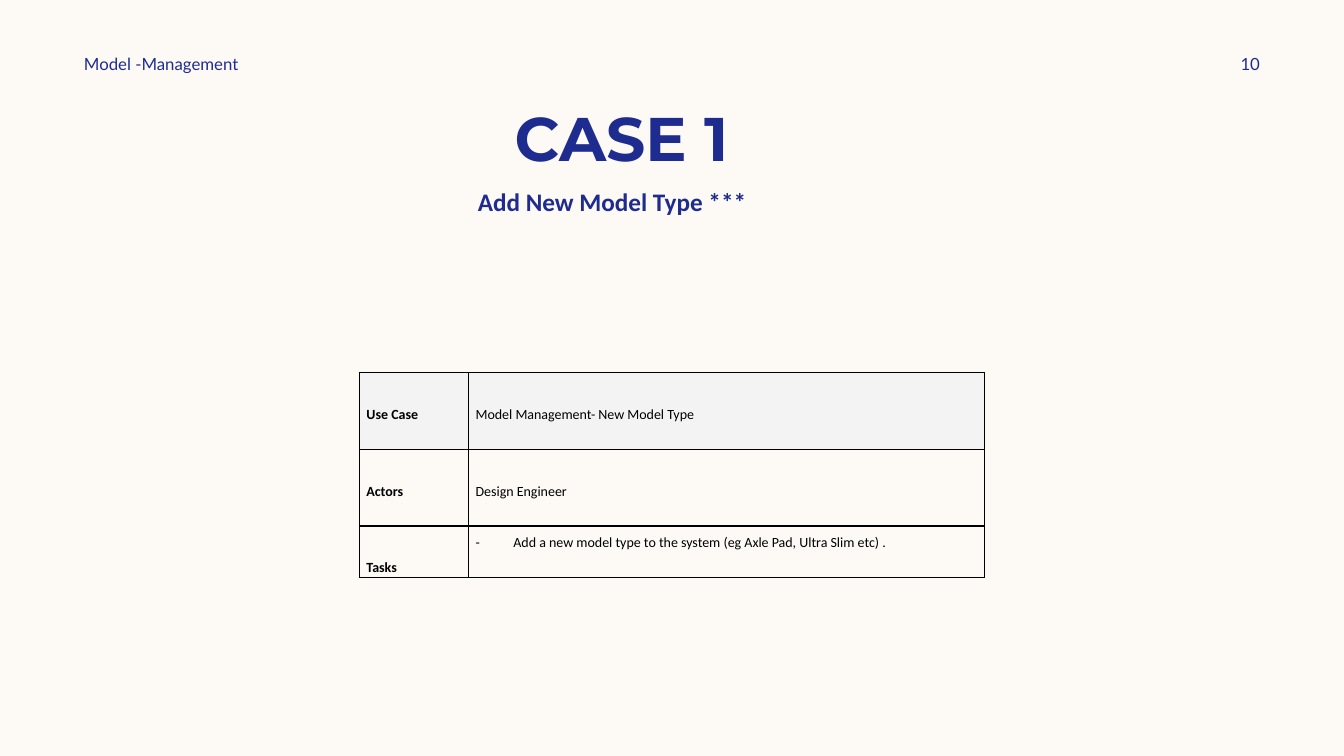
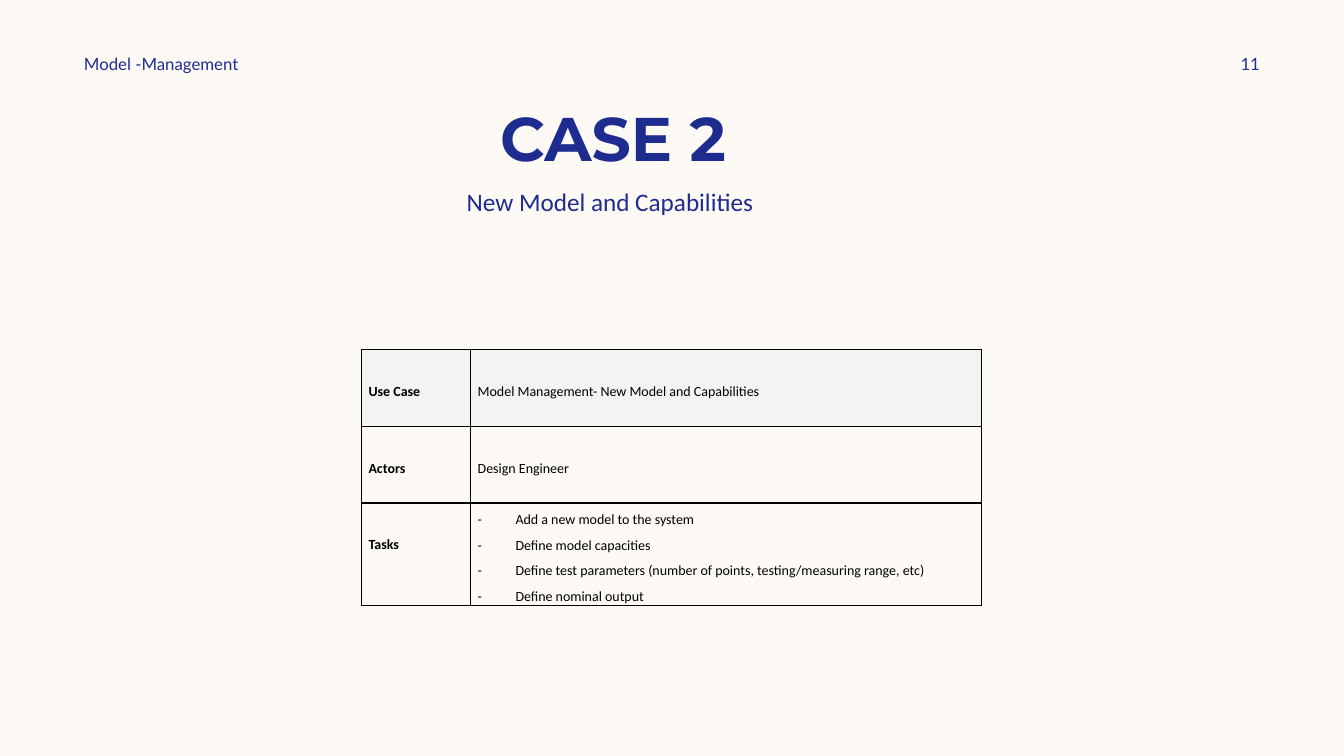
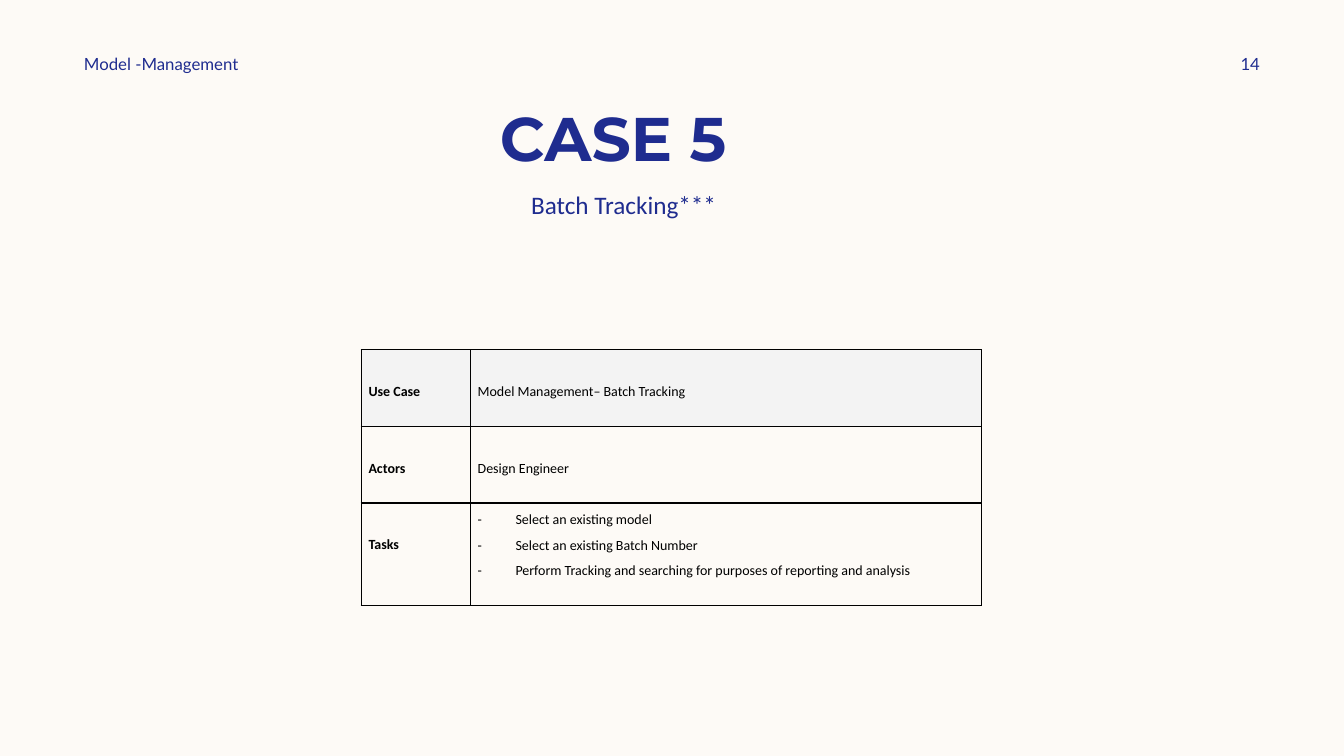
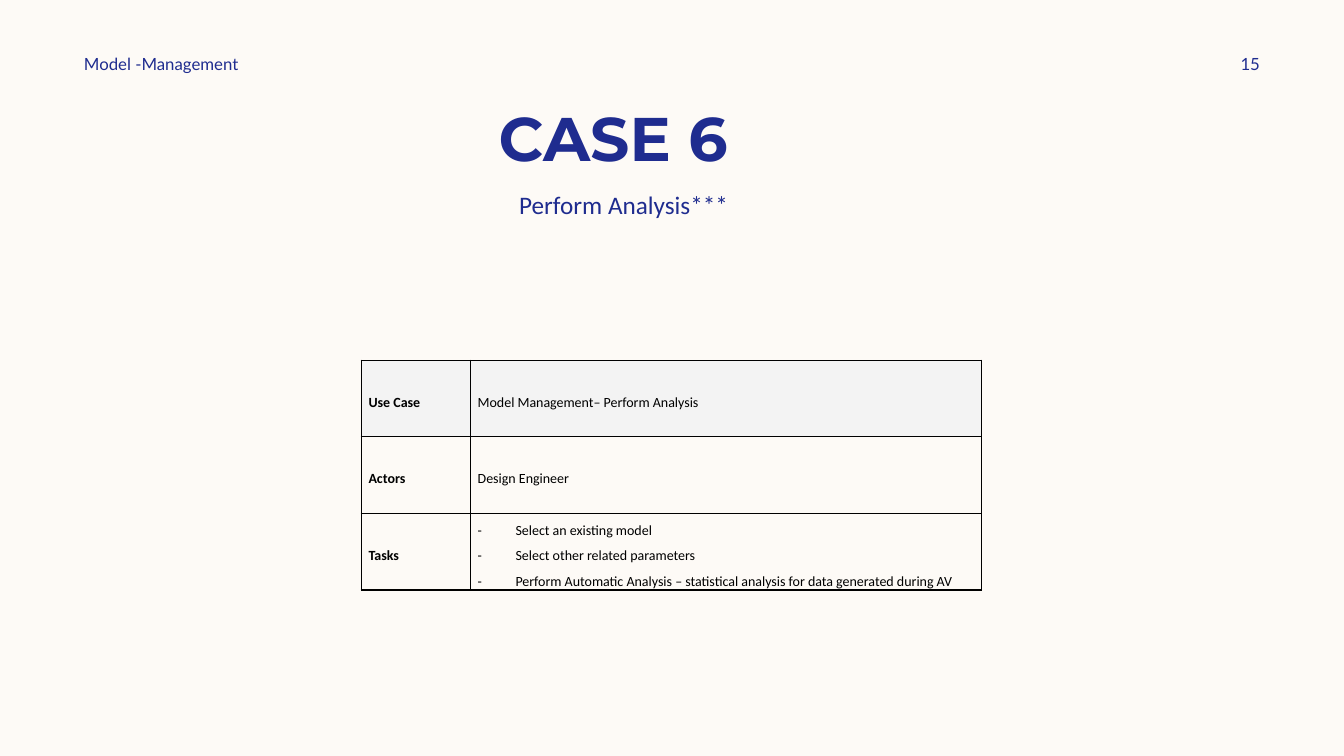
from pptx import Presentation, util as u
from pptx.dml.color import RGBColor
from pptx.enum import text
from pptx.oxml import xmlchemy

CREAM = RGBColor(0xFD, 0xFA, 0xF6)
NAVY = RGBColor(0x1F, 0x2C, 0x8F)
GREY = RGBColor(0xF3, 0xF3, 0xF3)
BLACK = RGBColor(0, 0, 0)

LINE = 24.4
INDENT = 36
PAGE_OFFSET = 9

TITLE = {"name": "Montserrat", "size": u.Pt(44), "bold": True}
HEADER = {"name": "Lato", "size": u.Pt(12), "bold": False}
SUBTITLE = {"name": "Calibri", "size": u.Pt(18), "bold": False}
LABEL = {"name": "Calibri", "size": u.Pt(10), "bold": True}
VALUE = LABEL | {"bold": False}

CASES = [
    {"number": 1, "title_left": 80, "subtitle": "Add New Model Type ***",
     "subtitle_at": (304, 173), "bold": True,
     "use_case": "Model Management- New Model Type",
     "table_at": (342, 355), "columns": (104, 492), "task_lines": 2,
     "tasks": ["Add a new model type to the system (eg Axle Pad, Ultra Slim etc) ."]},
    {"number": 2, "title_left": 72, "subtitle": "New Model and Capabilities",
     "subtitle_at": (302, 173), "bold": False,
     "use_case": "Model Management- New Model and Capabilities",
     "table_at": (344, 333), "columns": (104, 487), "task_lines": 4,
     "tasks": ["Add a new model to the system",
               "Define model capacities",
               "Define test parameters (number of points, testing/measuring range, etc)",
               "Define nominal output"]},
    {"number": 5, "title_left": 72, "subtitle": "Batch Tracking***",
     "subtitle_at": (315, 176), "bold": False,
     "use_case": "Model Management– Batch Tracking",
     "table_at": (344, 333), "columns": (104, 487), "task_lines": 4,
     "tasks": ["Select an existing model",
               "Select an existing Batch Number",
               "Perform Tracking and searching for purposes of reporting and analysis"]},
    {"number": 6, "title_left": 72, "subtitle": "Perform Analysis***",
     "subtitle_at": (315, 176), "bold": False,
     "use_case": "Model Management– Perform Analysis",
     "table_at": (344, 343), "columns": (104, 487), "task_lines": 3,
     "tasks": ["Select an existing model",
               "Select other related parameters",
               "Perform Automatic Analysis – statistical analysis for data generated during AV"]},
]


def px(length):
    """Turn pixels into EMU."""
    return u.Emu(length * 9525)


def set_all(target, values):
    """Set each named attribute of the target."""
    for name, value in values.items():
        setattr(target, name, value)


def add_child(parent, tag, **attributes):
    """Append an XML element with the given attributes."""
    child = xmlchemy.OxmlElement(tag)
    for name, value in attributes.items():
        child.set(name, str(value))
    parent.append(child)
    return child


class Deck:
    """Hold the shared style and the current slide."""

    def __init__(self):
        """Start an empty widescreen presentation."""
        self.presentation = Presentation()
        set_all(self.presentation, {"slide_width": px(1280), "slide_height": px(720)})
        self.slide = None

    def add_slide(self):
        """Add a blank slide with the cream background."""
        self.slide = self.presentation.slides.add_slide(self.presentation.slide_layouts[6])
        fill = self.slide.background.fill
        fill.solid()
        fill.fore_color.rgb = CREAM

    def add_words(self, paragraph, words, style, color, **layout):
        """Add one styled run to a paragraph."""
        set_all(paragraph, layout)
        run = paragraph.add_run()
        run.text = words
        set_all(run.font, style)
        run.font.color.rgb = color

    def add_text(self, words, box, style, frame=None, **layout):
        """Add a navy text box."""
        text_frame = self.slide.shapes.add_textbox(*map(px, box)).text_frame
        text_frame.word_wrap = True
        set_all(text_frame, frame or {})
        self.add_words(text_frame.paragraphs[0], words, style, NAVY, **layout)

    def add_header(self, page):
        """Add the section name and the page number."""
        frame = {"vertical_anchor": text.MSO_ANCHOR.MIDDLE}
        self.add_text("Model -Management", (80, 48, 336, 26), HEADER,
                      frame | {"margin_left": 0})
        self.add_text(str(page), (1096, 48, 104, 26), HEADER,
                      frame | {"margin_right": 0}, alignment=text.PP_ALIGN.RIGHT)

    def add_titles(self, case):
        """Add the case title and its subtitle."""
        center = text.PP_ALIGN.CENTER
        self.add_text(f"CASE {case['number']}", (case["title_left"], 80, 1024, 90), TITLE,
                      {"vertical_anchor": text.MSO_ANCHOR.BOTTOM}, alignment=center)
        self.add_text(case["subtitle"], (*case["subtitle_at"], 558, 46),
                      SUBTITLE | {"bold": case["bold"]},
                      alignment=center, space_before=u.Pt(3.6))

    def add_borders(self, cell):
        """Draw a thin black line on every side of a cell."""
        properties = cell._tc.get_or_add_tcPr()
        for position, side in enumerate(("lnL", "lnR", "lnT", "lnB")):
            line = xmlchemy.OxmlElement(f"a:{side}")
            line.set("w", str(u.Pt(1)))
            add_child(add_child(line, "a:solidFill"), "a:srgbClr", val=BLACK)
            properties.insert(position, line)

    def add_bullet(self, paragraph):
        """Give a paragraph a hanging dash."""
        properties = paragraph._p.get_or_add_pPr()
        properties.set("marL", str(px(INDENT)))
        properties.set("indent", str(-px(INDENT)))
        add_child(properties, "a:buFont", typeface="Calibri")
        add_child(properties, "a:buChar", char="-")

    def fill_cell(self, cell, lines, style, shaded, bulleted):
        """Fill one table cell with lines of text."""
        set_all(cell, {"margin_left": px(7), "margin_right": px(7), "margin_bottom": 0,
                       "margin_top": 0 if bulleted else px(int(LINE))})
        if shaded:
            cell.fill.solid()
            cell.fill.fore_color.rgb = GREY
        else:
            cell.fill.background()
        self.add_borders(cell)
        for index, line in enumerate(lines):
            frame = cell.text_frame
            paragraph = frame.add_paragraph() if index else frame.paragraphs[0]
            self.add_words(paragraph, line, style, BLACK, line_spacing=1.5)
            if bulleted:
                self.add_bullet(paragraph)

    def add_case_table(self, case):
        """Add the table of use case, actors and tasks."""
        rows = [("Use Case", [case["use_case"]], 3),
                ("Actors", ["Design Engineer"], 3),
                ("Tasks", case["tasks"], case["task_lines"])]
        heights = [round(count * LINE) for _, _, count in rows]
        columns = case["columns"]
        box = (*case["table_at"], sum(columns), sum(heights))
        table = self.slide.shapes.add_table(len(rows), len(columns), *map(px, box)).table
        set_all(table, {"first_row": False, "horz_banding": False})
        for column, width in zip(table.columns, columns):
            column.width = px(width)
        for index, (label, lines, _) in enumerate(rows):
            table.rows[index].height = px(heights[index])
            shaded = index == 0
            self.fill_cell(table.cell(index, 0), [label], LABEL, shaded, False)
            self.fill_cell(table.cell(index, 1), lines, VALUE, shaded, label == "Tasks")


def main():
    """Build one slide for each case."""
    deck = Deck()
    for case in CASES:
        deck.add_slide()
        deck.add_header(case["number"] + PAGE_OFFSET)
        deck.add_titles(case)
        deck.add_case_table(case)
    deck.presentation.save("out.pptx")


if __name__ == "__main__":
    main()
